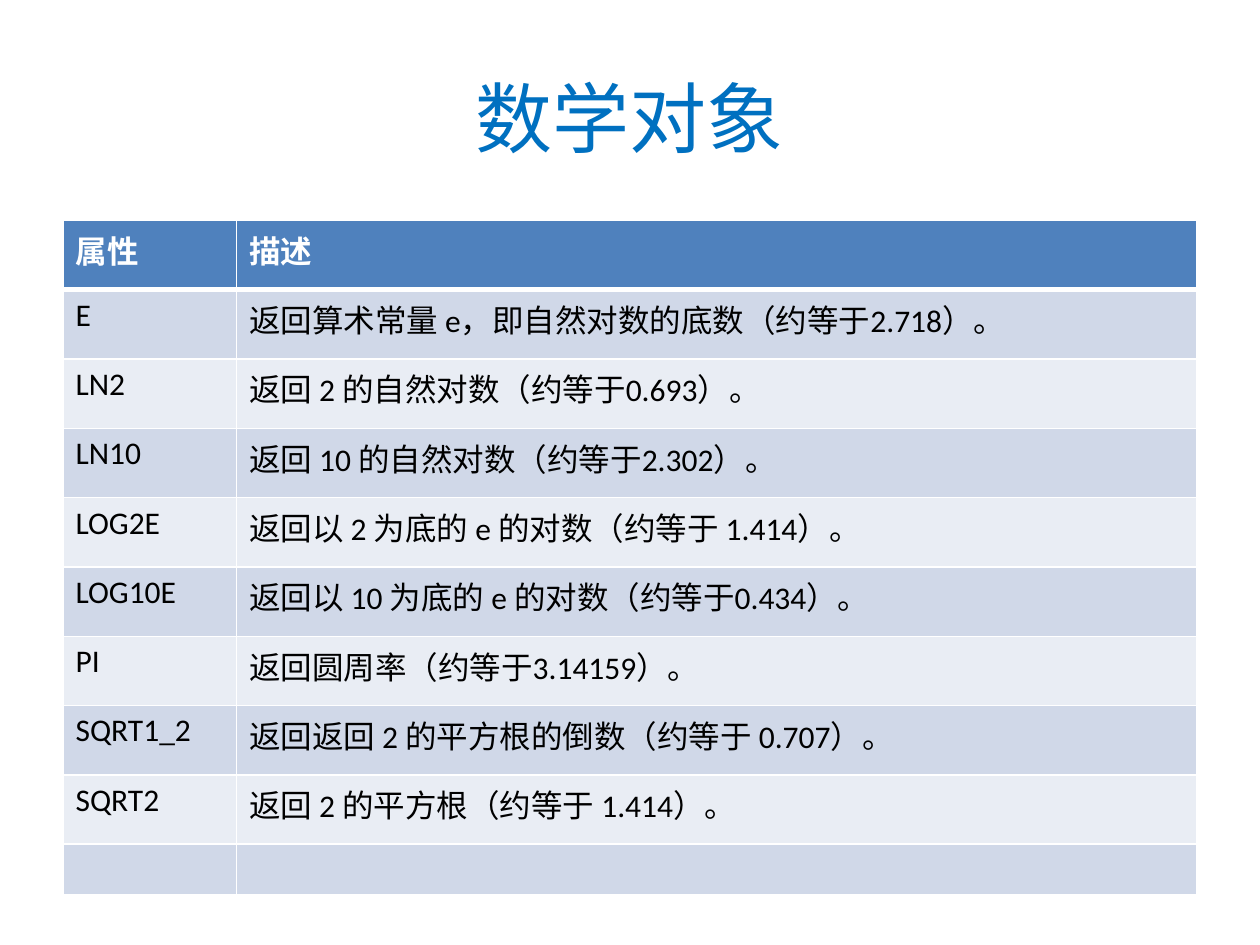
from lxml import etree
from pptx import Presentation
from pptx.dml.color import RGBColor
from pptx.enum.text import MSO_ANCHOR, PP_ALIGN
from pptx.oxml.ns import qn
from pptx.util import Pt

CENTER = PP_ALIGN.CENTER
MIDDLE = MSO_ANCHOR.MIDDLE
FONT = "Calibri"
COLORS = {
    "title": "0070C0",
    "header": "4F81BD",
    "odd": "D0D8E8",
    "even": "E9EDF4",
    "white": "FFFFFF",
    "black": "000000",
}
ROWS = [
    ("属性", "描述"),
    ("E", "返回算术常量 e，即自然对数的底数（约等于2.718）。"),
    ("LN2", "返回 2 的自然对数（约等于0.693）。"),
    ("LN10", "返回 10 的自然对数（约等于2.302）。"),
    ("LOG2E", "返回以 2 为底的 e 的对数（约等于 1.414）。"),
    ("LOG10E", "返回以 10 为底的 e 的对数（约等于0.434）。"),
    ("PI", "返回圆周率（约等于3.14159）。"),
    ("SQRT1_2", "返回返回 2 的平方根的倒数（约等于 0.707）。"),
    ("SQRT2", "返回 2 的平方根（约等于 1.414）。"),
    ("", ""),
]


def style_text(para, size, color, bold=False):
    for span in para.runs:
        span.font.name = FONT
        span.font.size = Pt(size)
        span.font.bold = bold
        span.font.color.rgb = RGBColor.from_string(COLORS[color])


def set_borders(cell, widths):
    properties = cell._tc.get_or_add_tcPr()
    for index, (side, width) in enumerate(widths.items()):
        line = etree.Element(qn("a:" + side), w=str(Pt(width)))
        fill = etree.SubElement(line, qn("a:solidFill"))
        etree.SubElement(fill, qn("a:srgbClr"), val=COLORS["white"])
        properties.insert(index, line)


deck = Presentation()
deck.slide_width, deck.slide_height = Pt(720), Pt(540)
page = deck.slides.add_slide(deck.slide_layouts[6])

# Title
box = page.shapes.add_textbox(Pt(36), Pt(21.6), Pt(648), Pt(90))
frame = box.text_frame
frame.word_wrap = True
frame.vertical_anchor = MIDDLE
frame.text = "数学对象"
para = frame.paragraphs[0]
para.alignment = CENTER
style_text(para, 44, "title")

# Table of properties
table = page.shapes.add_table(
    len(ROWS), 2, Pt(36), Pt(126), Pt(648), Pt(385.2)
).table
for column, width in zip(table.columns, (99.2, 548.8)):
    column.width = Pt(width)

for r, texts in enumerate(ROWS):
    table.rows[r].height = Pt(39.6 if any(texts) else 28.8)
    band = "header" if r == 0 else "odd" if r % 2 else "even"
    for c, text in enumerate(texts):
        cell = table.cell(r, c)
        cell.fill.solid()
        cell.fill.fore_color.rgb = RGBColor.from_string(COLORS[band])
        # A heavier rule separates the header from the body
        set_borders(cell, {
            "lnL": 1,
            "lnR": 1,
            "lnT": 3 if r == 1 else 1,
            "lnB": 3 if r == 0 else 1,
        })
        if text:
            cell.text_frame.text = text
            color = "white" if r == 0 else "black"
            style_text(cell.text_frame.paragraphs[0], 18, color, bold=r == 0)

deck.save("out.pptx")
